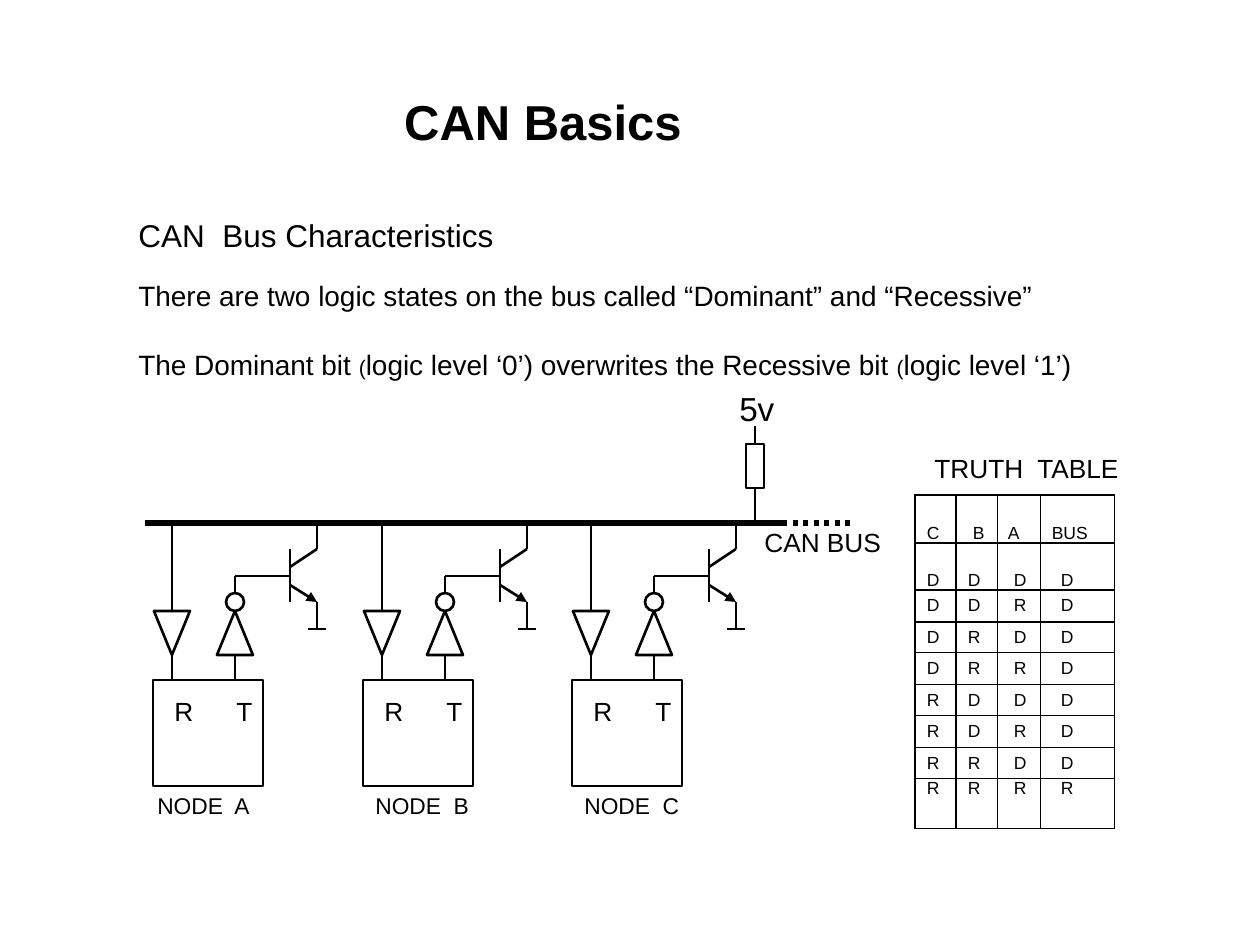
from lxml import etree
from pptx import Presentation
from pptx import util as u
from pptx.dml import color
from pptx.enum import dml, shapes, text
from pptx.oxml import ns

SCALE = 914400 / 126
BLACK = "000000"
BUS_Y = 523
NODE_Y = 680
HEADER = ("C", "B", "A", "BUS")
STATES = ("DDDD", "DDRD", "DRDD", "DRRD", "RDDD", "RDRD", "RRDD", "RRRR")


def px(*values):
    """Turn pixel lengths into EMU."""
    return [u.Emu(round(v * SCALE)) for v in values]


def rgb(code):
    """Return the colour for a hex string."""
    return color.RGBColor.from_string(code)


def add_runs(p, runs, bold=False):
    """Fill a paragraph with (wording, size) runs."""
    for wording, size in runs:
        r = p.add_run()
        r.text = wording
        for name, value in {"name": "Arial", "size": u.Pt(size), "bold": bold}.items():
            setattr(r.font, name, value)
        r.font.color.rgb = rgb(BLACK)


def add_text(s, box, *runs, bold=False, anchor=text.MSO_ANCHOR.TOP):
    """Add a wrapping text box with one paragraph and return the paragraph."""
    tf = s.shapes.add_textbox(*px(*box)).text_frame
    tf.word_wrap = True
    tf.vertical_anchor = anchor
    p = tf.paragraphs[0]
    add_runs(p, runs, bold)
    return p


def add_outline(s, kind, *box):
    """Add an unfilled preset shape with a black outline."""
    sp = s.shapes.add_shape(kind, *px(*box))
    sp.shadow.inherit = False
    sp.fill.background()
    sp.line.color.rgb = rgb(BLACK)
    sp.line.width = u.Pt(1.5)
    return sp


def add_line(s, x1, y1, x2, y2, width=1.5, arrow=False, dash=None):
    """Add a straight black connector."""
    c = s.shapes.add_connector(shapes.MSO_CONNECTOR.STRAIGHT, *px(x1, y1, x2, y2))
    c.line.color.rgb = rgb(BLACK)
    c.line.width = u.Pt(width)
    if dash:
        c.line.dash_style = dash
    if arrow:
        etree.SubElement(c.line._get_or_add_ln(), ns.qn("a:tailEnd"), type="triangle")
    etree.SubElement(c._element.spPr, ns.qn("a:effectLst"))
    return c


def add_node(s, name, left, label_left):
    """Draw a bus node with its receiver, inverter and transistor."""
    kind = shapes.MSO_SHAPE
    rx, tx, base, out = left + 19, left + 82, left + 137, left + 164
    add_outline(s, kind.RECTANGLE, left, NODE_Y, 110, 106)
    add_outline(s, kind.FLOWCHART_MERGE, rx - 18, 611, 36, 44)
    add_outline(s, kind.FLOWCHART_EXTRACT, tx - 18, 611, 36, 44)
    add_outline(s, kind.OVAL, tx - 9, 593, 18, 18)
    for ends in (
        (rx, 611, rx, BUS_Y), (rx, 655, rx, NODE_Y), (tx, 655, tx, NODE_Y),
        (tx, 593, tx, 576), (tx, 576, base, 576), (base, 549, base, 602),
        (base, 567, out, 549), (out, 549, out, BUS_Y),
        (out, 602, out, 629), (out - 9, 629, out + 9, 629),
    ):
        add_line(s, *ends)
    add_line(s, base, 585, out, 602, arrow=True)
    p = add_text(s, (left + 9, 689, 110, 44), ("R\tT", 15))
    tabs = etree.SubElement(p._p.get_or_add_pPr(), ns.qn("a:tabLst"))
    etree.SubElement(tabs, ns.qn("a:tab"), pos=str(px(62)[0]), algn="l")
    add_text(s, (label_left, 786, 127, 40), (f"NODE  {name}", 13))


def add_pull_up(s):
    """Draw the supply resistor above the bus."""
    add_text(s, (727, 382, 101, 53), ("5v", 19))
    sp = add_outline(s, shapes.MSO_SHAPE.RECTANGLE, 746, 444, 18, 44)
    add_line(s, 755, 444, 755, 426).begin_connect(sp, 0)
    add_line(s, 755, 488, 755, BUS_Y).begin_connect(sp, 2)


def add_borders(cell):
    """Give a cell thin black borders on all sides."""
    tc_pr = cell._tc.get_or_add_tcPr()
    for i, side in enumerate("LRTB"):
        ln = etree.Element(ns.qn(f"a:ln{side}"), w=str(u.Pt(0.75)))
        fill = etree.SubElement(ln, ns.qn("a:solidFill"))
        etree.SubElement(fill, ns.qn("a:srgbClr"), val=BLACK)
        tc_pr.insert(i, ln)


def add_truth_table(s):
    """Build the truth table for the three nodes and the bus."""
    widths = (41, 42, 43, 74)
    heights = [48, 47] + [32, 31] * 3 + [50]
    anchor = text.MSO_ANCHOR
    anchors = [anchor.BOTTOM] * 2 + [anchor.MIDDLE] * 6 + [anchor.TOP]
    rows = (HEADER, *STATES)
    frame = s.shapes.add_table(
        len(rows), len(HEADER), *px(915, 495, sum(widths), sum(heights)))
    table = frame.table
    table.first_row = table.horz_banding = False
    for column, width in zip(table.columns, px(*widths)):
        column.width = width
    for i, (row, values) in enumerate(zip(table.rows, rows)):
        row.height = px(heights[i])[0]
        margins = px(12, 12, 16, 20) if i else px(12, 17, 10, 11)
        for cell, value, margin in zip(row.cells, values, margins):
            formats = {"margin_left": margin, "margin_right": 0, "margin_top": 0,
                       "margin_bottom": 0, "vertical_anchor": anchors[i]}
            for name, setting in formats.items():
                setattr(cell, name, setting)
            cell.fill.background()
            add_borders(cell)
            add_runs(cell.text_frame.paragraphs[0], [(value, 10)])
    add_text(s, (922, 446, 218, 44), ("TRUTH  TABLE", 15))


def main():
    """Build the slide and save it."""
    prs = Presentation()
    prs.slide_width, prs.slide_height = px(1260, 945)
    s = prs.slides.add_slide(prs.slide_layouts[6])
    title = add_text(s, (0, 33, 1086, 183), ("CAN Basics", 28), bold=True,
                     anchor=text.MSO_ANCHOR.MIDDLE)
    title.alignment = text.PP_ALIGN.CENTER
    title.line_spacing = 0.9
    add_text(s, (126, 210, 711, 50), ("CAN  Bus Characteristics", 18))
    add_text(s, (126, 272, 1040, 47), (
        "There are two logic states on the bus called “Dominant” and “Recessive”", 16))
    add_text(s, (126, 341, 1018, 47), ("The Dominant bit ", 16), ("(", 12),
             ("logic level ‘0’) overwrites the Recessive bit ", 16), ("(", 12),
             ("logic level ‘1’)", 16))
    add_line(s, 145, BUS_Y, 782, BUS_Y, width=3)
    add_line(s, 782, BUS_Y, 855, BUS_Y, width=3, dash=dml.MSO_LINE.ROUND_DOT)
    add_text(s, (752, 520, 165, 44), ("CAN BUS", 15))
    add_pull_up(s)
    for node in (("A", 153, 145), ("B", 363, 363), ("C", 572, 572)):
        add_node(s, *node)
    add_truth_table(s)
    prs.save("out.pptx")


if __name__ == "__main__":
    main()
